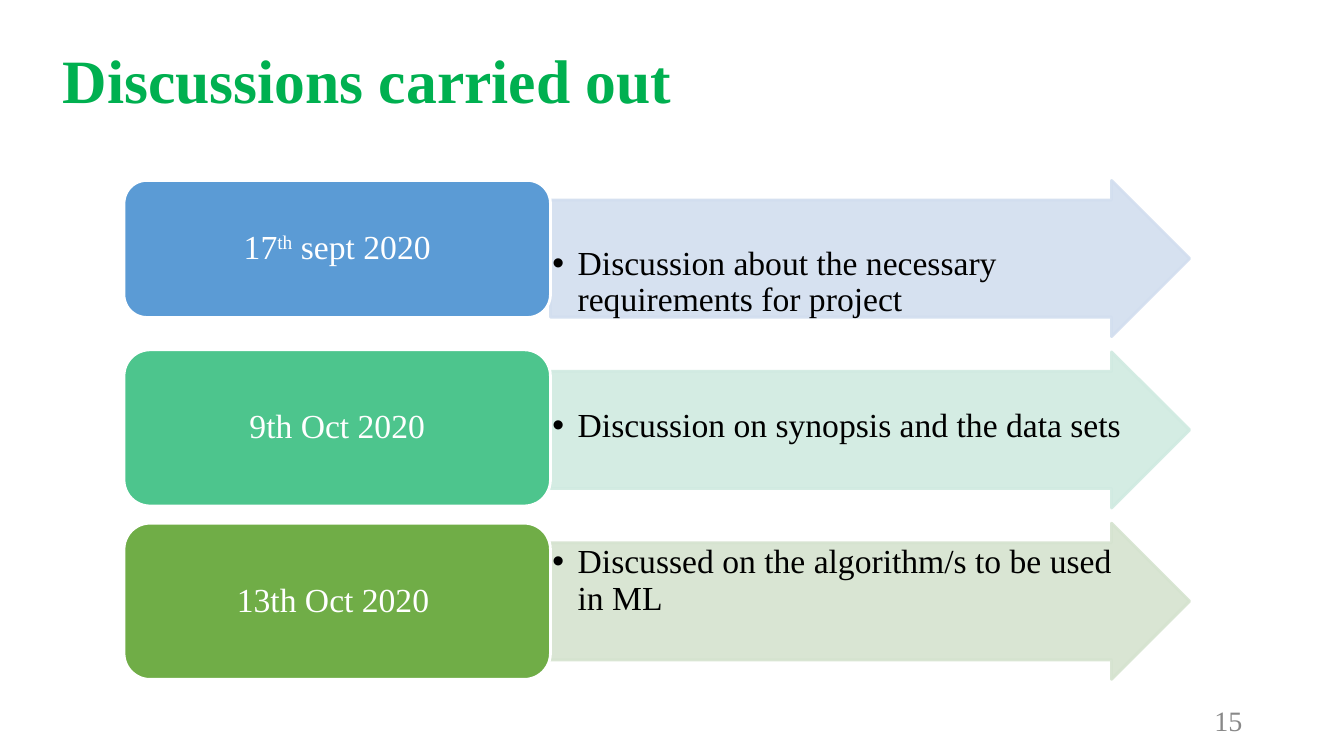
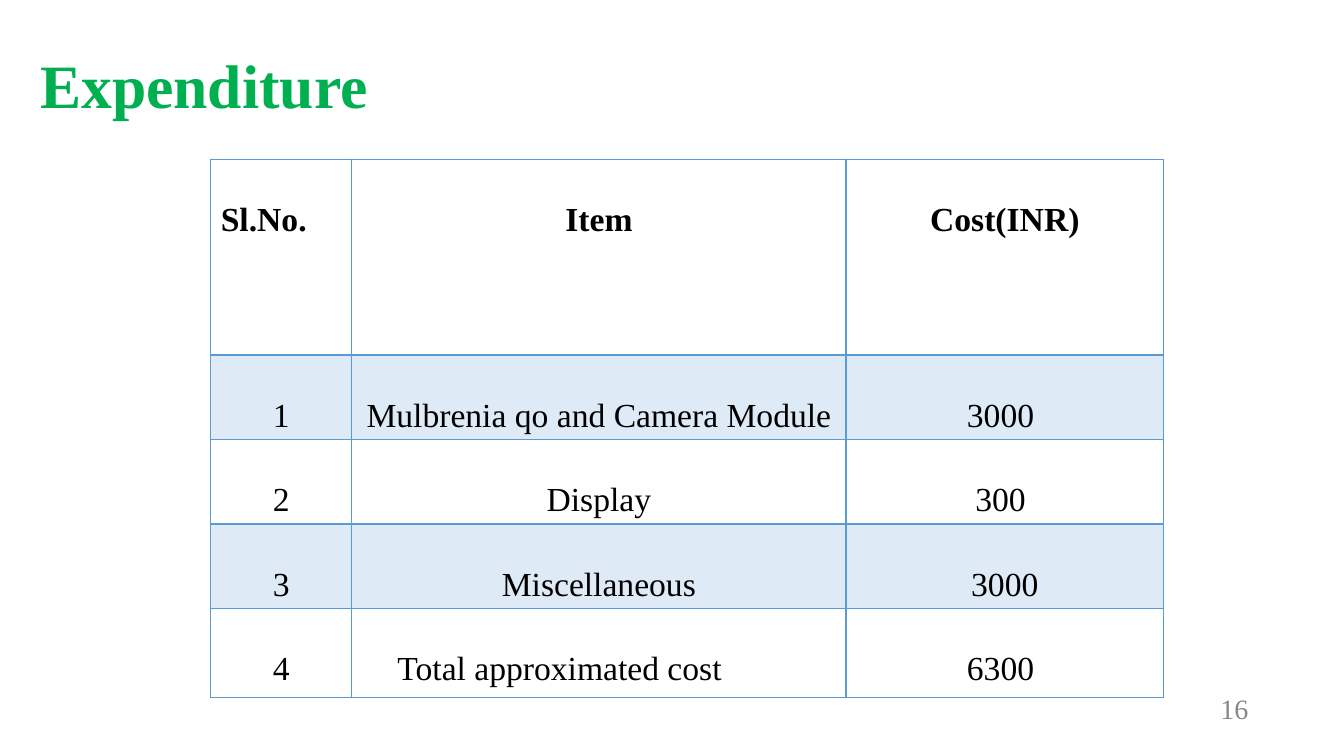
import pptx
import pptx.util
import pptx.dml.color
import pptx.enum.shapes
import pptx.enum.text
import pptx.oxml.ns
import lxml.etree

Inches = pptx.util.Inches
Pt = pptx.util.Pt
qn = pptx.oxml.ns.qn
SHAPE = pptx.enum.shapes.MSO_SHAPE
ALIGN = pptx.enum.text.PP_ALIGN
ANCHOR = pptx.enum.text.MSO_ANCHOR

GREEN, BLUE, PALE_BLUE = "00B050", "5B9BD5", "DEEBF7"
BLACK, WHITE, GRAY = "000000", "FFFFFF", "888888"


def rgb(color):
    return pptx.dml.color.RGBColor.from_string(color)


def style(p, size, color, bold=False, align=ALIGN.LEFT, spacing=1.0):
    p.alignment = align
    p.line_spacing = spacing
    for r in p.runs:
        r.font.name = "Times New Roman"
        r.font.size = Pt(size)
        r.font.bold = bold
        r.font.color.rgb = rgb(color)


prs = pptx.Presentation()
prs.slide_width = Inches(13.33)
prs.slide_height = Inches(7.5)

pages = [
    ("Discussions carried out", 0.52, 0.27, "15", 9.42, 6.95),
    ("Expenditure", 0.3, 0.32, "16", 9.48, 6.83),
]
slides = []
for title, left, top, number, number_left, number_top in pages:
    s = prs.slides.add_slide(prs.slide_layouts[5])
    slides.append(s)
    sp = s.shapes.title
    sp.left, sp.top, sp.width, sp.height = Inches(left), Inches(top), Inches(11.01), Inches(0.94)
    tf = sp.text_frame
    tf.text = title
    tf.vertical_anchor = ANCHOR.BOTTOM
    style(tf.paragraphs[0], 44, GREEN, bold=True, spacing=0.9)

    sp = s.shapes.add_textbox(Inches(number_left), Inches(number_top), Inches(3), Inches(0.4))
    tf = sp.text_frame
    tf.word_wrap = True
    tf.text = number
    tf.vertical_anchor = ANCHOR.MIDDLE
    style(tf.paragraphs[0], 20, GRAY, align=ALIGN.RIGHT)

meetings = [
    (["17", "th", " sept 2020"], "Discussion about the necessary requirements for project",
     BLUE, "D2DEEF", 1.79, 1.36, 0.46),
    (["9th Oct 2020"], "Discussion on synopsis and the data sets",
     "4DC58D", "D0EAE1", 3.47, 1.55, 0.37),
    (["13th Oct 2020 "], "Discussed on the algorithm/s to be used in ML",
     "70AD47", "D5E3CF", 5.19, 1.55, 0.02),
]
shapes = slides[0].shapes
for i, (date, topic, color, tint, top, height, inset) in enumerate(meetings):
    arrow = shapes.add_shape(SHAPE.RIGHT_ARROW, Inches(5.46), Inches(1.79 + 1.7 * i),
                             Inches(6.34), Inches(1.55))
    arrow.adjustments[0] = 0.75
    arrow.adjustments[1] = 0.5
    box = shapes.add_shape(SHAPE.ROUNDED_RECTANGLE, Inches(1.23), Inches(top),
                           Inches(4.23), Inches(height))
    for sp, fill, line in ((arrow, tint, tint), (box, color, WHITE)):
        sp.shadow.inherit = False
        sp.fill.solid()
        sp.fill.fore_color.rgb = rgb(fill)
        sp.line.color.rgb = rgb(line)
        sp.line.width = Pt(2)
    for clr in arrow.element.iter(qn("a:srgbClr")):
        lxml.etree.SubElement(clr, qn("a:alpha"), val="90000")

    tf = arrow.text_frame
    tf.word_wrap = True
    tf.vertical_anchor = ANCHOR.TOP
    tf.margin_left = tf.margin_right = Inches(0.02)
    tf.margin_top, tf.margin_bottom = Inches(inset), 0
    tf.text = topic
    p = tf.paragraphs[0]
    style(p, 24, BLACK, spacing=0.9)
    pPr = p._p.get_or_add_pPr()
    pPr.set("marL", str(Inches(0.25)))
    pPr.set("indent", str(-Inches(0.25)))
    lxml.etree.SubElement(pPr, qn("a:buFont"), typeface="Arial")
    lxml.etree.SubElement(pPr, qn("a:buChar"), char="•")

    tf = box.text_frame
    tf.word_wrap = True
    tf.vertical_anchor = ANCHOR.MIDDLE
    p = tf.paragraphs[0]
    for text in date:
        r = p.add_run()
        r.text = text
        if text == "th":
            r._r.get_or_add_rPr().set("baseline", "30000")
    style(p, 24, WHITE, align=ALIGN.CENTER, spacing=0.9)

rows = [
    ("Sl.No.", "Item", "Cost(INR)"),
    ("1", "Mulbrenia qo and Camera Module", "3000 "),
    ("2", "Display", "300 "),
    ("3", "Miscellaneous", "3000"),
    ("4", "Total approximated cost", "6300 "),
]
table = slides[1].shapes.add_table(5, 3, Inches(2.09), Inches(1.58), Inches(9.45), Inches(5.34)).table
table.first_row = False
table.horz_banding = False
for column, width in zip(table.columns, (1.4, 4.9, 3.15)):
    column.width = Inches(width)
for row, height in zip(table.rows, (1.94, 0.84, 0.84, 0.84, 0.88)):
    row.height = Inches(height)
for i, row in enumerate(rows):
    for j, text in enumerate(row):
        cell = table.cell(i, j)
        cell.text = text
        cell.margin_top = Inches(0.42)
        cell.margin_bottom = Inches(0.01)
        align = ALIGN.LEFT if (i, j) == (0, 0) else ALIGN.CENTER
        style(cell.text_frame.paragraphs[0], 24, BLACK, bold=i == 0, align=align)
        tcPr = cell._tc.get_or_add_tcPr()
        for side in ("lnL", "lnR", "lnT", "lnB"):
            heavy = (i, side) in ((0, "lnB"), (1, "lnT"))
            ln = lxml.etree.SubElement(tcPr, qn("a:" + side), w=str(Pt(2 if heavy else 1)))
            fill = lxml.etree.SubElement(ln, qn("a:solidFill"))
            lxml.etree.SubElement(fill, qn("a:srgbClr"), val=BLUE)
        if i % 2:
            cell.fill.solid()
            cell.fill.fore_color.rgb = rgb(PALE_BLUE)
        else:
            cell.fill.background()
table.cell(4, 1).margin_right = Inches(0.88)

prs.save("out.pptx")
